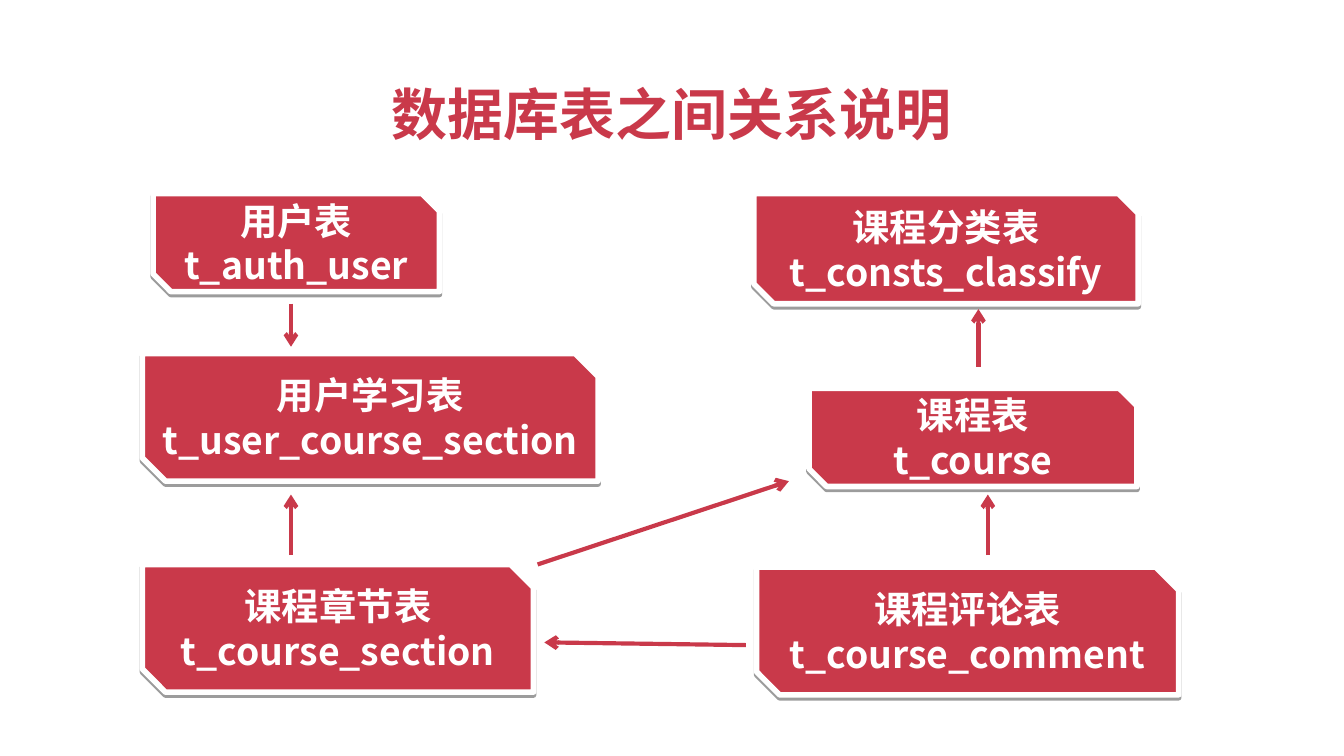
from lxml.etree import SubElement
from pptx import Presentation
from pptx.dml.color import RGBColor
from pptx.enum.shapes import MSO_CONNECTOR
from pptx.enum.text import MSO_ANCHOR, MSO_AUTO_SIZE, PP_ALIGN
from pptx.oxml.ns import qn
from pptx.util import Inches, Pt

THEME = {
    "red": RGBColor.from_string("C9394A"),
    "white": RGBColor.from_string("FFFFFF"),
    "font": "Noto Sans CJK SC",
    "title": Pt(30),
    "label": Pt(20),
    "border": Pt(3),
    "arrow": Pt(2.25),
}
SNIP = 0.18  # cut corner as a share of the box height

prs = Presentation()
prs.slide_width = Inches(10)
prs.slide_height = prs.slide_width * 9 // 16
U = prs.slide_width / 100  # square grid of 100 columns

s = prs.slides.add_slide(prs.slide_layouts[5])


def grid(*cells):
    return [round(c * U) for c in cells]


def add_text(p, text, size, color):
    """Add one bold run, with the font set for Latin and Chinese text."""
    r = p.add_run()
    r.text = text
    r.font.name, r.font.size, r.font.bold = THEME["font"], size, True
    r.font.color.rgb = color
    SubElement(r._r.get_or_add_rPr(), qn("a:ea"), typeface=THEME["font"])


title = s.shapes.title
title.left, title.top, title.width, title.height = grid(28.2, 5.4, 43.6, 6)
tf = title.text_frame
tf.auto_size, tf.word_wrap = MSO_AUTO_SIZE.NONE, False
tf.margin_left = tf.margin_right = 0
tf.vertical_anchor = MSO_ANCHOR.MIDDLE
tf.paragraphs[0].alignment = PP_ALIGN.CENTER
add_text(tf.paragraphs[0], "数据库表之间关系说明", THEME["title"], THEME["red"])

# Tables: left, top, width, height in grid cells, then the two lines of text
tables = [
    (11.4, 14.4, 21.3, 7.3, "用户表", "t_auth_user"),
    (10.6, 26.3, 33.9, 9.5, "用户学习表", "t_user_course_section"),
    (10.6, 42.0, 29.1, 9.5, "课程章节表", "t_course_section"),
    (56.1, 14.4, 28.6, 8.2, "课程分类表", "t_consts_classify"),
    (60.2, 28.9, 24.4, 7.3, "课程表", "t_course"),
    (56.3, 42.2, 31.4, 9.5, "课程评论表", "t_course_comment"),
]
for x, y, w, h, *lines in tables:
    cut = SNIP * h
    right, bottom = x + w, y + h
    outline = s.shapes.build_freeform(*grid(x, y))
    outline.add_line_segments([
        grid(right - cut, y), grid(right, y + cut), grid(right, bottom),
        grid(x + cut, bottom), grid(x, bottom - cut),
    ], close=True)
    sp = outline.convert_to_shape()
    sp.fill.solid()
    sp.fill.fore_color.rgb = THEME["red"]
    sp.line.color.rgb, sp.line.width = THEME["white"], THEME["border"]

    sp.shadow.inherit = False
    effects = sp._element.spPr.find(qn("a:effectLst"))
    shadow = SubElement(effects, qn("a:outerShdw"), blurRad="0",
                        dist=str(Pt(1.6)), dir="5400000", rotWithShape="0")
    black = SubElement(shadow, qn("a:srgbClr"), val="000000")
    SubElement(black, qn("a:alpha"), val="38000")

    tf = sp.text_frame
    tf.word_wrap, tf.vertical_anchor = True, MSO_ANCHOR.MIDDLE
    for i, line in enumerate(lines):
        p = tf.add_paragraph() if i else tf.paragraphs[0]
        p.alignment = PP_ALIGN.CENTER
        add_text(p, line, THEME["label"], THEME["white"])

# Relations: start x, start y, end x, end y in grid cells
relations = [
    (21.65, 22.6, 21.65, 25.8),  # user -> user course section
    (21.65, 41.3, 21.65, 36.8),  # course section -> user course section
    (40.0, 42.0, 58.7, 35.8),    # course section -> course
    (55.5, 48.0, 40.5, 47.8),    # course comment -> course section
    (72.8, 27.3, 72.8, 23.0),    # course -> classify
    (73.5, 41.3, 73.5, 36.8),    # course comment -> course
]
for ends in relations:
    c = s.shapes.add_connector(MSO_CONNECTOR.STRAIGHT, *grid(*ends))
    c.line.color.rgb, c.line.width = THEME["red"], THEME["arrow"]
    SubElement(c.line._get_or_add_ln(), qn("a:tailEnd"), type="arrow")
    SubElement(c._element.spPr, qn("a:effectLst"))

prs.save("out.pptx")
